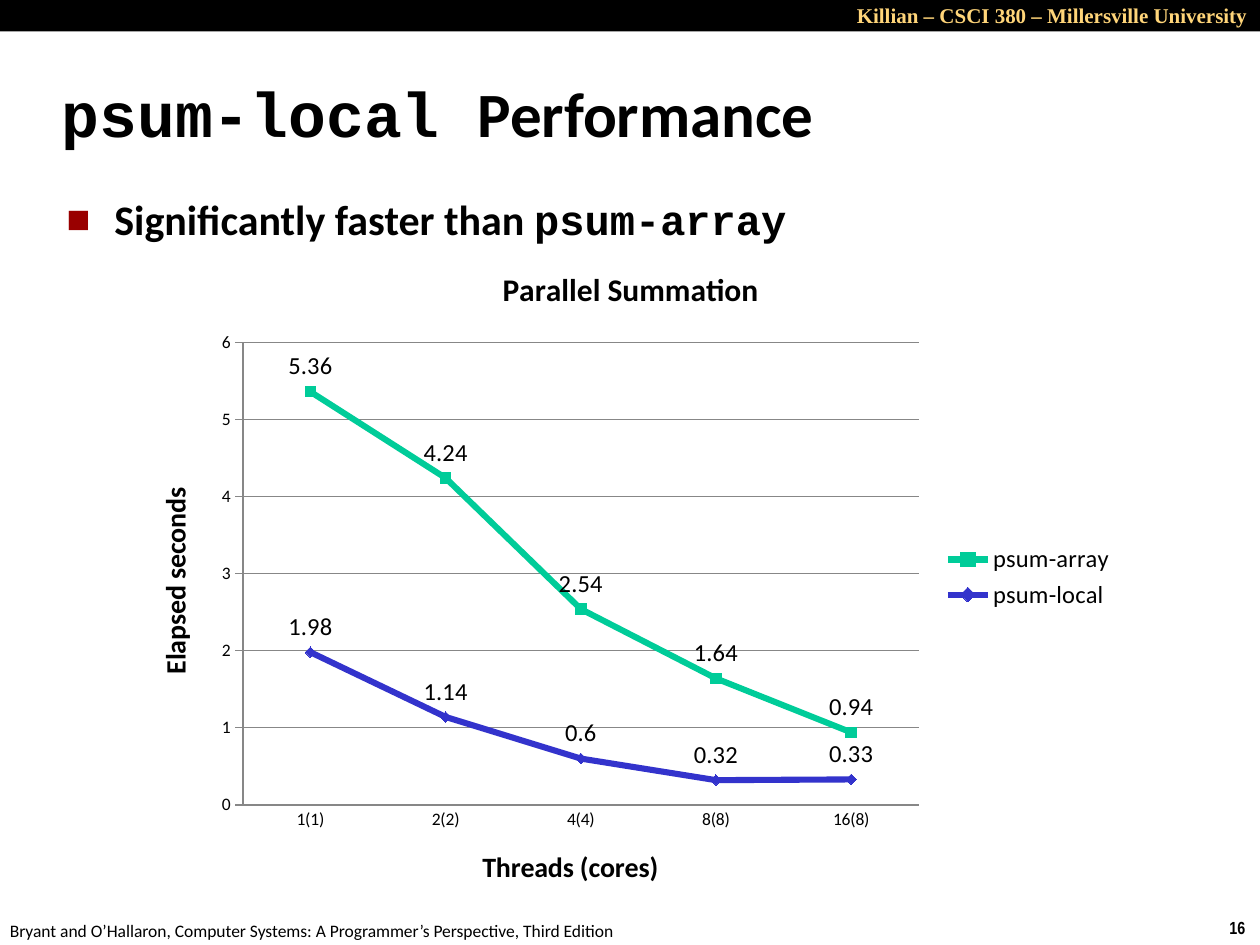
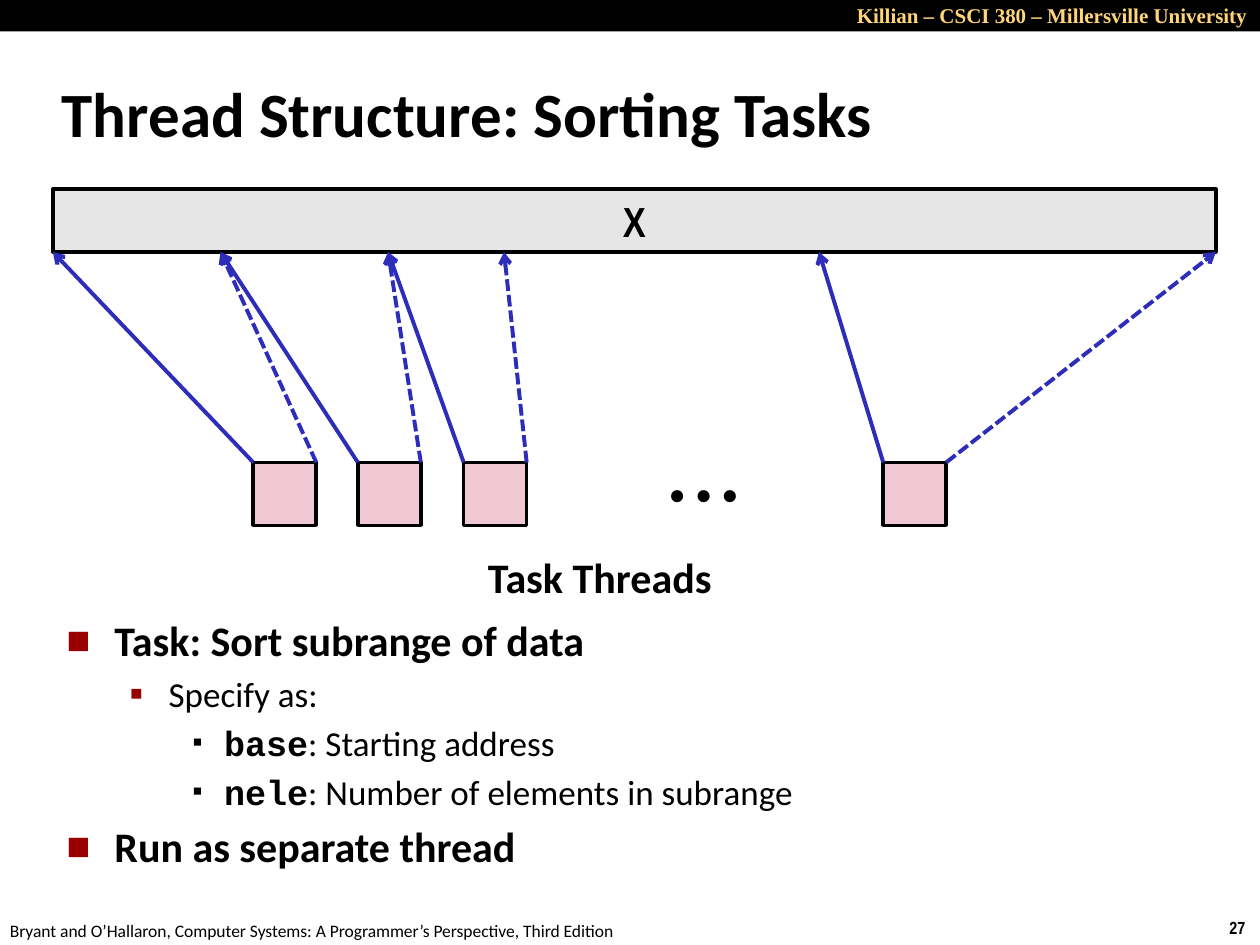
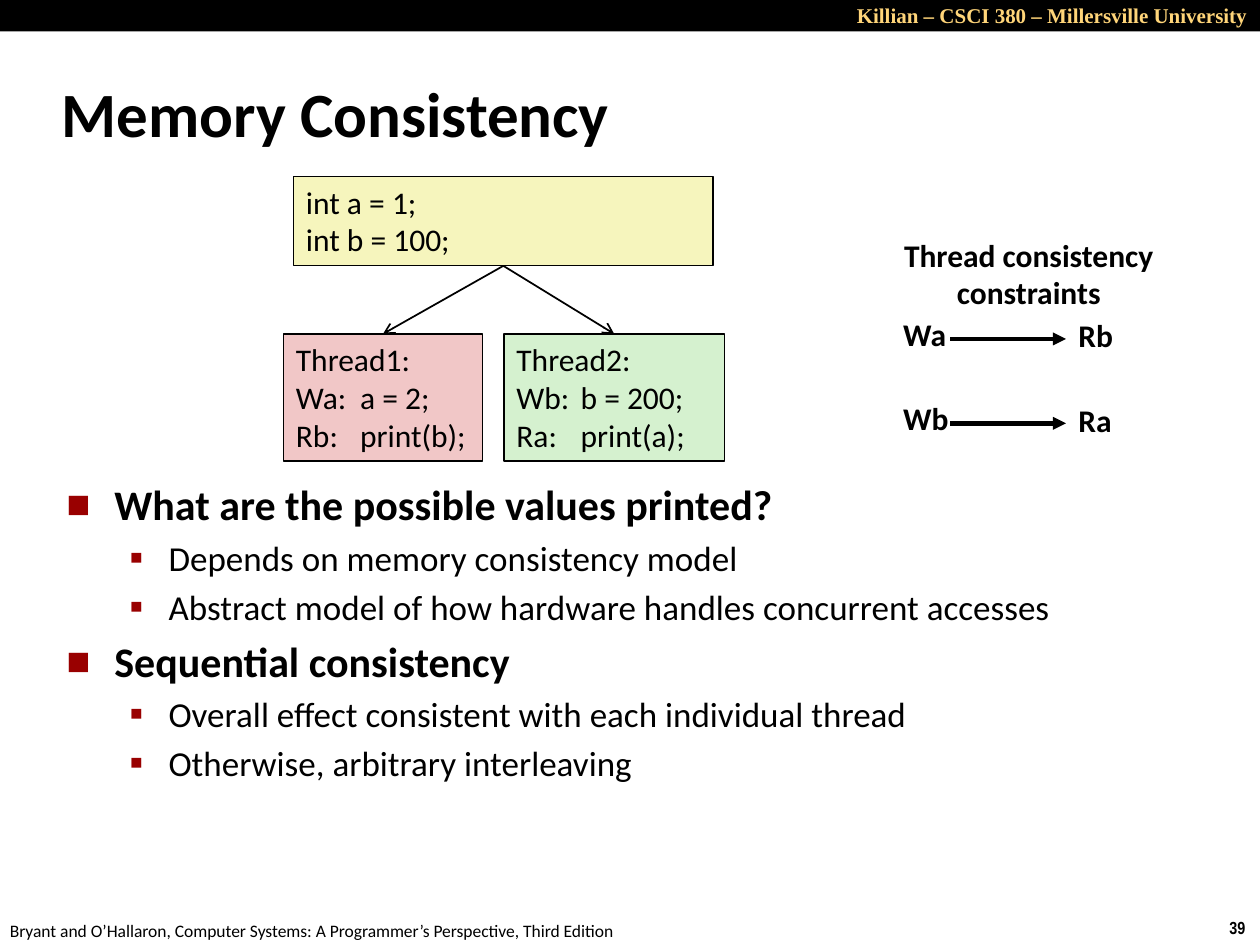
from dataclasses import dataclass
from typing import NamedTuple, Optional

from lxml import etree
from pptx import Presentation
from pptx import util as u
from pptx.chart.data import CategoryChartData
from pptx.dml.color import RGBColor
from pptx.enum import chart as ch, dml, shapes, text
from pptx.oxml.ns import qn

PX = 9144  # 100 px to the inch


@dataclass(frozen=True)
class Theme:
    body: str = "Calibri"
    code: str = "Courier New"
    narrow: str = "Arial Narrow"
    serif: str = "Times New Roman"
    dots: str = "Arial"
    black: str = "000000"
    gold: str = "FFD579"
    bullet: str = "990000"
    array: str = "E6E6E6"
    task: str = "F0C8D3"
    arrow: str = "2D2DB9"
    shared: str = "F6F5BD"
    thread1: str = "F1C7C7"
    thread2: str = "D5F1CF"
    axis: str = "878787"
    series: tuple = ("00CC99", "3333CC")
    title_pt: int = 36
    head_pt: int = 24
    sub_pt: int = 20
    label_pt: int = 18
    axis_pt: int = 16
    value_pt: int = 14
    band_pt: int = 12
    small_pt: int = 10


T = Theme()


class Box(NamedTuple):
    left: int
    top: int
    width: int
    height: int

    def emu(self) -> list:
        return [u.Emu(v * PX) for v in self]


class Run(NamedTuple):
    text: str
    font: str = T.body
    bold: bool = False


@dataclass
class Para:
    runs: list
    size: int
    color: str = T.black
    align: text.PP_ALIGN = text.PP_ALIGN.LEFT
    level: Optional[int] = None  # bullet level
    tab: Optional[int] = None


class Bullet(NamedTuple):
    char: str
    color: str
    percent: int
    margin: int
    hang: int


BULLETS = [
    Bullet("■", T.bullet, 60, 38, 38),
    Bullet("▪", T.bullet, 110, 81, 31),
    Bullet("▪", T.black, 80, 125, 25),
]
CENTER = text.PP_ALIGN.CENTER
MIDDLE = text.MSO_ANCHOR.MIDDLE


def rgb(value: str) -> RGBColor:
    return RGBColor.from_string(value)


def sub(parent, tag: str, **attrs):
    return etree.SubElement(parent, qn(tag), attrs)


# Text
def style_font(font, size: int, color: str = T.black, name: str = T.body, bold: bool = False) -> None:
    font.size, font.name, font.bold = u.Pt(size), name, bold
    font.color.rgb = rgb(color)


def add_bullet(p, bullet: Bullet) -> None:
    pPr = p._p.get_or_add_pPr()
    pPr.set("marL", str(bullet.margin * PX))
    pPr.set("indent", str(-bullet.hang * PX))
    sub(sub(pPr, "a:buClr"), "a:srgbClr", val=bullet.color)
    sub(pPr, "a:buSzPct", val=str(bullet.percent * 1000))
    sub(pPr, "a:buFont", typeface=T.body)
    sub(pPr, "a:buChar", char=bullet.char)


def write(tf, paras: list) -> None:
    for i, para in enumerate(paras):
        p = tf.add_paragraph() if i else tf.paragraphs[0]
        p.alignment = para.align
        if para.level is not None:
            p.level = para.level
            add_bullet(p, BULLETS[para.level])
            if i:
                p.space_before = u.Pt(para.size * 0.2)
        if para.tab:
            tabs = sub(p._p.get_or_add_pPr(), "a:tabLst")
            sub(tabs, "a:tab", pos=str(para.tab * PX), algn="l")
        for run in para.runs:
            r = p.add_run()
            r.text = run.text
            style_font(r.font, para.size, para.color, run.font, run.bold)


def add_text(s, box: Box, paras: list, wrap: bool = False, grow: bool = True,
             anchor: text.MSO_ANCHOR = text.MSO_ANCHOR.TOP) -> None:
    tf = s.shapes.add_textbox(*box.emu()).text_frame
    tf.word_wrap = wrap
    tf.auto_size = text.MSO_AUTO_SIZE.SHAPE_TO_FIT_TEXT if grow else text.MSO_AUTO_SIZE.NONE
    tf.vertical_anchor = anchor
    write(tf, paras)


def heading(*runs: Run) -> Para:
    return Para([Run(r.text, r.font, True) for r in runs], T.head_pt, level=0)


def point(*runs: Run, level: int = 1) -> Para:
    return Para(list(runs), T.sub_pt, level=level)


def label(words: str, size: int = T.label_pt, font: str = T.body,
          align: text.PP_ALIGN = text.PP_ALIGN.LEFT) -> Para:
    return Para([Run(words, font, True)], size, align=align)


def add_body(s, top: int, height: int, paras: list) -> None:
    add_text(s, Box(43, top, 864, height), paras, wrap=True, grow=False)


# Shapes and arrows
def add_rect(s, box: Box, fill: str, line_pt: float = 0, paras: Optional[list] = None,
             anchor: text.MSO_ANCHOR = text.MSO_ANCHOR.TOP):
    sp = s.shapes.add_shape(shapes.MSO_SHAPE.RECTANGLE, *box.emu())
    sp.shadow.inherit = False
    sp.fill.solid()
    sp.fill.fore_color.rgb = rgb(fill)
    if line_pt:
        sp.line.color.rgb = rgb(T.black)
        sp.line.width = u.Pt(line_pt)
    else:
        sp.line.fill.background()
    if paras:
        sp.text_frame.word_wrap = True
        sp.text_frame.vertical_anchor = anchor
        write(sp.text_frame, paras)
    return sp


def add_arrow(s, start: tuple, end: tuple, color: str, width: float,
              head: str = "arrow", dashed: bool = False):
    ends = [u.Emu(v * PX) for v in (*start, *end)]
    cx = s.shapes.add_connector(shapes.MSO_CONNECTOR.STRAIGHT, *ends)
    cx.line.color.rgb = rgb(color)
    cx.line.width = u.Pt(width)
    if dashed:
        cx.line.dash_style = dml.MSO_LINE.SQUARE_DOT
    spPr = cx._element.spPr
    sub(spPr.find(qn("a:ln")), "a:tailEnd", type=head)
    sub(spPr, "a:effectLst")
    return cx


# Slide frame: number, footer, band and title
def new_slide(prs, number: int, *title: Run):
    s = prs.slides.add_slide(prs.slide_layouts[5])
    add_text(s, Box(966, 723, 34, 27), [label(str(number), T.small_pt, T.narrow)])
    add_text(s, Box(-2, 725, 508, 27), [Para([Run(
        "Bryant and O’Hallaron, Computer Systems: A Programmer’s Perspective, Third Edition")],
        T.small_pt)])
    add_rect(s, Box(0, 0, 1000, 25), T.black)
    add_text(s, Box(450, -3, 550, 30), [Para(
        [Run("Killian – CSCI 380 – Millersville University", T.serif, True)],
        T.band_pt, T.gold, text.PP_ALIGN.RIGHT)], wrap=True)

    sp = s.shapes.title
    sp.left, sp.top, sp.width, sp.height = Box(39, 48, 830, 83).emu()
    tf = sp.text_frame
    tf.word_wrap, tf.auto_size, tf.vertical_anchor = True, text.MSO_AUTO_SIZE.NONE, MIDDLE
    write(tf, [Para([Run(r.text, r.font, True) for r in title], T.title_pt)])
    return s


# Line chart
def place_plot(chart, **fractions: float) -> None:
    area = chart._chartSpace.chart.plotArea
    for old in area.findall(qn("c:layout")):
        area.remove(old)
    layout = etree.Element(qn("c:layout"))
    area.insert(0, layout)
    manual = sub(layout, "c:manualLayout")
    sub(manual, "c:layoutTarget", val="inner")
    for mode in ("xMode", "yMode"):
        sub(manual, f"c:{mode}", val="edge")
    for side, value in fractions.items():
        sub(manual, f"c:{side}", val=str(value))


def style_axis(axis, title: str, tick: ch.XL_TICK_MARK) -> None:
    write(axis.axis_title.text_frame, [label(title, T.axis_pt, align=CENTER)])
    axis.major_tick_mark, axis.minor_tick_mark = tick, ch.XL_TICK_MARK.NONE
    axis.format.line.color.rgb = rgb(T.axis)
    style_font(axis.tick_labels.font, T.small_pt)


def add_timing_chart(s) -> None:
    data = CategoryChartData()
    data.categories = ["1(1)", "2(2)", "4(4)", "8(8)", "16(8)"]
    data.add_series("psum-array", [5.36, 4.24, 2.54, 1.64, 0.94])
    data.add_series("psum-local", [1.98, 1.14, 0.6, 0.32, 0.33])
    chart = s.shapes.add_chart(ch.XL_CHART_TYPE.LINE_MARKERS,
                               *Box(106, 192, 789, 532).emu(), data).chart
    style_font(chart.font, T.small_pt)
    chart.has_title = True
    write(chart.chart_title.text_frame, [label("Parallel Summation", align=CENTER)])
    chart.chart_title.include_in_layout = False
    chart.has_legend = True
    chart.legend.position = ch.XL_LEGEND_POSITION.RIGHT
    chart.legend.include_in_layout = False
    style_font(chart.legend.font, T.value_pt)

    style_axis(chart.category_axis, "Threads (cores)", ch.XL_TICK_MARK.NONE)
    axis = chart.value_axis
    style_axis(axis, "Elapsed seconds", ch.XL_TICK_MARK.OUTSIDE)
    body = axis.axis_title.text_frame._txBody.find(qn("a:bodyPr"))
    body.set("rot", "-5400000")
    body.set("vert", "horz")
    axis.minimum_scale, axis.maximum_scale, axis.major_unit = 0, 6, 1
    axis.has_major_gridlines = True
    axis.major_gridlines.format.line.color.rgb = rgb(T.axis)

    plot = chart.plots[0]
    plot.vary_by_categories = False
    markers = (ch.XL_MARKER_STYLE.SQUARE, ch.XL_MARKER_STYLE.DIAMOND)
    for series, color, marker in zip(plot.series, T.series, markers):
        series.smooth = False
        series.format.line.color.rgb = rgb(color)
        series.format.line.width = u.Pt(3.5)
        series.marker.style, series.marker.size = marker, 6
        series.marker.format.fill.solid()
        series.marker.format.fill.fore_color.rgb = rgb(color)
        series.marker.format.line.color.rgb = rgb(color)
        labels = series.data_labels
        labels.show_value = True
        labels.position = ch.XL_LABEL_POSITION.ABOVE
        style_font(labels.font, T.value_pt)
    place_plot(chart, x=0.11, y=0.15, w=0.68, h=0.69)


def performance_slide(prs) -> None:
    s = new_slide(prs, 16, Run("psum-local ", T.code), Run("Performance"))
    add_body(s, 149, 59, [heading(Run("Significantly faster than "), Run("psum-array", T.code))])
    add_timing_chart(s)


class Task(NamedTuple):
    slot: int
    first: int  # ends of its subrange along the array
    last: int


def sorting_slide(prs) -> None:
    s = new_slide(prs, 27, Run("Thread Structure: Sorting Tasks"))
    add_body(s, 483, 210, [
        heading(Run("Task: Sort subrange of data")),
        point(Run("Specify as:")),
        point(Run("base", T.code, True), Run(": Starting address"), level=2),
        point(Run("nele", T.code, True), Run(": Number of elements in subrange"), level=2),
        heading(Run("Run as separate thread")),
    ])
    add_rect(s, Box(42, 150, 923, 50), T.array, 2,
             [label("X", T.head_pt, T.narrow, CENTER)], MIDDLE)

    # Task squares, each with arrows to the ends of its subrange
    side, top, bottom = 50, 367, 200
    tasks = [Task(0, 42, 175), Task(1, 175, 308), Task(2, 308, 400), Task(6, 650, 965)]
    for task in tasks:
        left = 201 + round(task.slot * 250 / 3)
        add_rect(s, Box(left, top, side, side), T.task, 2)
        add_arrow(s, (left, top), (task.first, bottom), T.arrow, 2.25)
        add_arrow(s, (left + side, top), (task.last, bottom), T.arrow, 2.25, dashed=True)
    for box, words, font in ((Box(417, top, 283, 50), "• • •", T.dots),
                             (Box(202, 433, 548, 50), "Task Threads", T.body)):
        add_text(s, box, [label(words, T.head_pt, font, CENTER)], grow=False, anchor=MIDDLE)


def consistency_slide(prs) -> None:
    s = new_slide(prs, 39, Run("Memory Consistency"))
    add_body(s, 375, 318, [
        heading(Run("What are the possible values printed?")),
        point(Run("Depends on memory consistency model")),
        point(Run("Abstract model of how hardware handles concurrent accesses")),
        heading(Run("Sequential consistency")),
        point(Run("Overall effect consistent with each individual thread")),
        point(Run("Otherwise, arbitrary interleaving")),
    ])

    # Shared variables and the two threads
    def code_box(box: Box, fill: str, lines: list, tab: Optional[int] = None):
        return add_rect(s, box, fill, 0.75,
                        [Para([Run(line)], T.label_pt, tab=tab) for line in lines])

    shared = code_box(Box(233, 140, 333, 71), T.shared, ["int a = 1;", "int b = 100;"])
    threads = [
        code_box(Box(225, 265, 158, 101), T.thread1,
                 ["Thread1:", "Wa:\ta = 2;", "Rb: \tprint(b);"], 51),
        code_box(Box(400, 265, 175, 101), T.thread2,
                 ["Thread2:", "Wb:\tb = 200;", "Ra:\tprint(a);"], 51),
    ]
    for thread in threads:
        cx = add_arrow(s, (400, 211), (400, 265), T.black, 1)
        cx.begin_connect(shared, 2)
        cx.end_connect(thread, 0)

    # Ordering constraints
    add_text(s, Box(707, 182, 219, 71), [label("Thread consistency", align=CENTER),
                                         label("constraints", align=CENTER)])
    for row, (before, after) in enumerate((("Wa", "Rb"), ("Wb", "Ra"))):
        top = 245 + 67 * row
        add_text(s, Box(707, top, 56, 40), [label(before)])
        add_text(s, Box(846, top + 1, 48, 40), [label(after)])
        add_arrow(s, (754, top + 24), (846, top + 24), T.black, 2.5, "triangle")


def main() -> None:
    prs = Presentation()
    prs.slide_width, prs.slide_height = u.Emu(1000 * PX), u.Emu(750 * PX)
    performance_slide(prs)
    sorting_slide(prs)
    consistency_slide(prs)
    prs.save("out.pptx")


if __name__ == "__main__":
    main()
